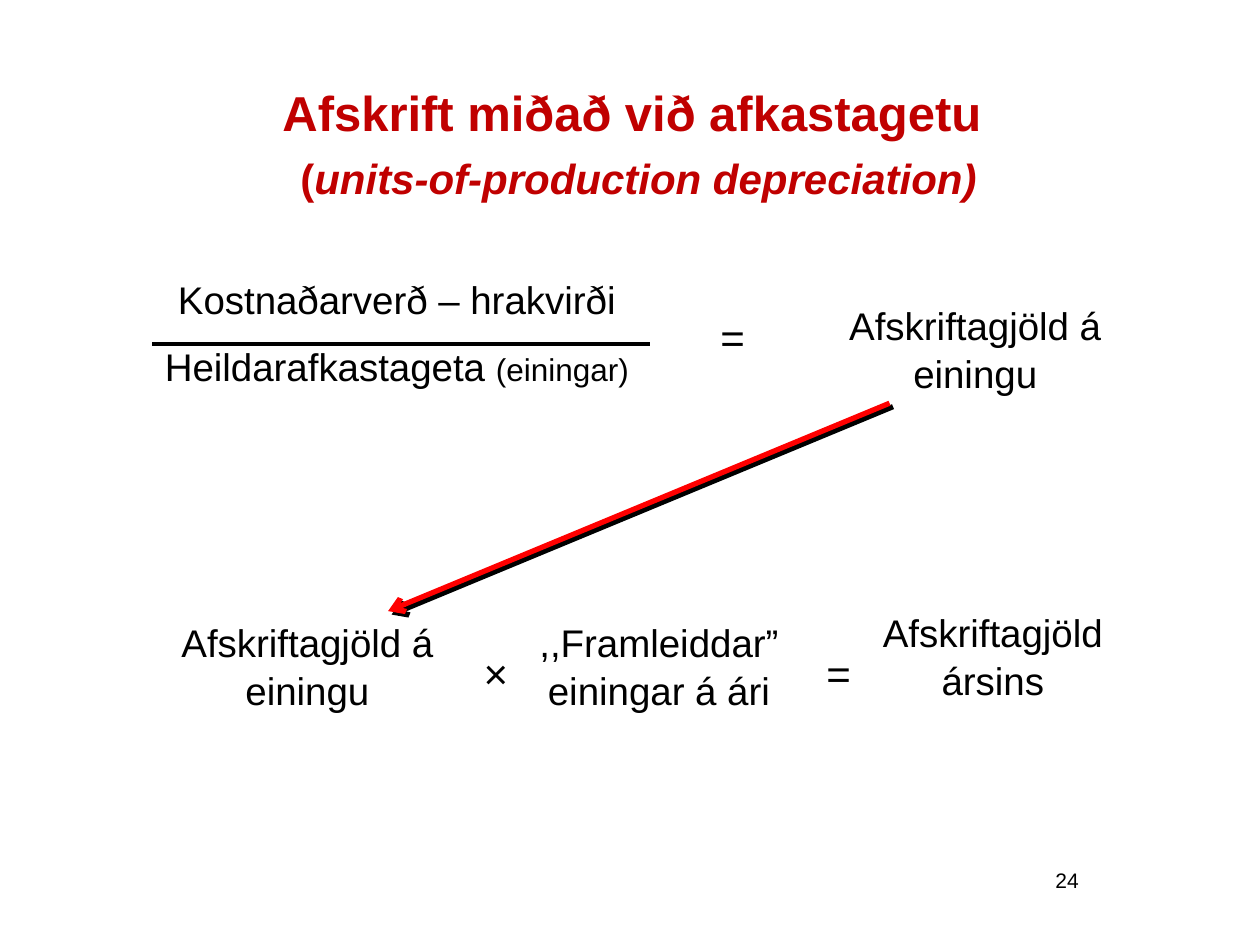
from lxml.etree import SubElement
from pptx import Presentation
from pptx.dml.color import RGBColor
from pptx.enum.shapes import MSO_CONNECTOR as Connector
from pptx.enum.text import MSO_ANCHOR as Anchor, PP_ALIGN as Align
from pptx.oxml.ns import qn
from pptx.util import Inches, Pt

BLACK, RED, DARK_RED = "000000", "FF0000", "C00000"
TERM_SIZE, OPERATOR_SIZE = 22, 24


def rgb(value):
    return RGBColor.from_string(value)


def add_run(paragraph, text, size, color=BLACK, **extras):
    run = paragraph.add_run()
    run.text = text
    run.font.color.rgb = rgb(color)
    for key, value in {"name": "Arial", "size": Pt(size), **extras}.items():
        setattr(run.font, key, value)


def add_frame(slide, box, anchor=Anchor.TOP):
    frame = slide.shapes.add_textbox(*map(Inches, box)).text_frame
    frame.word_wrap = True
    frame.vertical_anchor = anchor
    return frame


def set_format(paragraph, **values):
    for key, value in values.items():
        setattr(paragraph, key, value)


def add_text(slide, box, text, size, align=Align.CENTER, spacing=1.04):
    paragraph = add_frame(slide, box).paragraphs[0]
    set_format(paragraph, alignment=align, line_spacing=spacing)
    add_run(paragraph, text, size)


def add_term(slide, box, text):
    add_text(slide, box, text, TERM_SIZE)


def add_operator(slide, box, sign):
    add_text(slide, box, sign, OPERATOR_SIZE, Align.LEFT, 1.0)


def add_line(slide, start, end, color, width):
    ends = map(Inches, (*start, *end))
    line = slide.shapes.add_connector(Connector.STRAIGHT, *ends)
    line.line.color.rgb = rgb(color)
    line.line.width = Pt(width)
    effects = SubElement(line._element.spPr, qn("a:effectLst"))
    return line, effects


def add_title(slide, box):
    heading = add_frame(slide, box, Anchor.MIDDLE).paragraphs[0]
    set_format(heading, alignment=Align.CENTER, line_spacing=1.07)
    add_run(heading, "Afskrift miðað við afkastagetu", 28, DARK_RED, bold=True)
    heading.add_line_break()
    add_run(heading, " ", 28, DARK_RED, bold=True)
    add_run(heading, "(", 24, DARK_RED, bold=True)
    add_run(heading, "units-of-production depreciation)", 24, DARK_RED,
            bold=True, italic=True)


def add_fraction(slide, box):
    left, top, width, height = box
    frame = add_frame(slide, box, Anchor.BOTTOM)
    numerator, denominator = frame.paragraphs[0], frame.add_paragraph()
    for part in (numerator, denominator):
        set_format(part, alignment=Align.CENTER, line_spacing=1.04)
    denominator.space_before = Pt(TERM_SIZE / 2)
    add_run(numerator, "Kostnaðarverð – hrakvirði", TERM_SIZE)
    add_run(denominator, "Heildarafkastageta ", TERM_SIZE)
    add_run(denominator, "(einingar)", 18)
    bar_y = top + 0.62
    add_line(slide, (left + 0.38, bar_y), (left + width - 0.31, bar_y), BLACK, 2.25)


def add_unit_rate(slide, box):
    left, top, width, height = box
    add_fraction(slide, (left, top, 4.64, height))
    add_operator(slide, (left + 4.79, top + 0.31, 0.46, 0.51), "=")
    add_term(slide, (left + 5.56, top + 0.22, width - 5.56, 0.84),
             "Afskriftagjöld á einingu")


def add_annual_charge(slide, box):
    left, top, width, height = box
    term_y, sign_y = top + 0.08, top + 0.32
    add_term(slide, (left, term_y, 2.6, 0.84), "Afskriftagjöld á einingu")
    add_operator(slide, (left + 2.6, sign_y, 0.31, 0.51), "×")
    add_term(slide, (left + 2.8, term_y, 2.58, 0.84), ",,Framleiddar” einingar á ári")
    add_operator(slide, (left + 5.32, sign_y, 0.39, 0.51), "=")
    add_term(slide, (left + 5.71, top, width - 5.71, 0.84), "Afskriftagjöld ársins")


def add_carry_arrow(slide, start, end):
    arrow, effects = add_line(slide, start, end, RED, 3)
    SubElement(arrow.line._get_or_add_ln(), qn("a:tailEnd"), type="arrow")
    shadow = SubElement(effects, qn("a:outerShdw"), blurRad="0",
                        dist=str(Pt(2.8)), dir=str(45 * 60000),
                        algn="ctr", rotWithShape="0")
    SubElement(shadow, qn("a:srgbClr"), val=BLACK)


def main():
    deck = Presentation()
    deck.slide_width, deck.slide_height = Inches(10), Inches(7.5)
    slide = deck.slides.add_slide(deck.slide_layouts[6])
    add_text(slide, (6.58, 6.83, 2.08, 0.5), "24", 12, Align.RIGHT)
    add_title(slide, (0.75, 0.7, 8.53, 0.84))
    add_unit_rate(slide, (0.83, 2.11, 8.26, 1.03))
    add_annual_charge(slide, (1.14, 4.77, 7.77, 0.92))
    add_carry_arrow(slide, (7.06, 3.2), (3.08, 4.85))
    deck.save("out.pptx")


if __name__ == "__main__":
    main()
